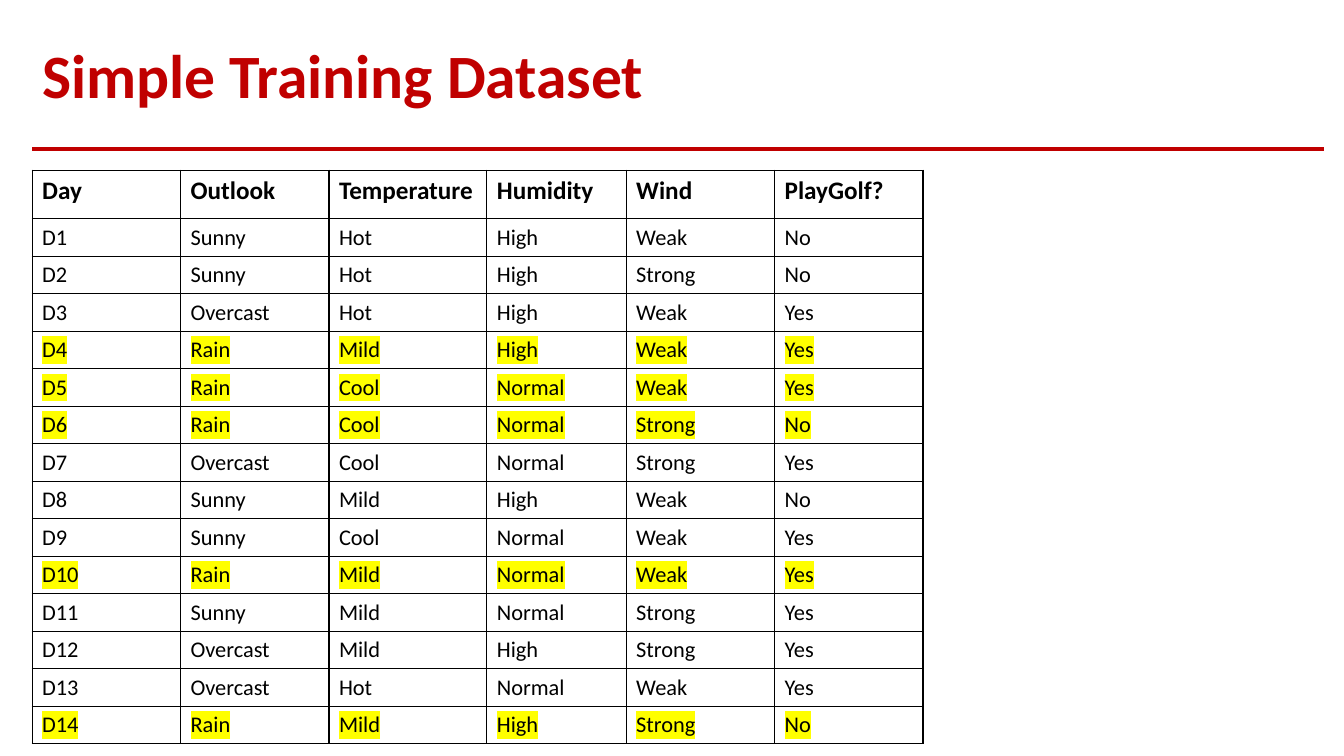
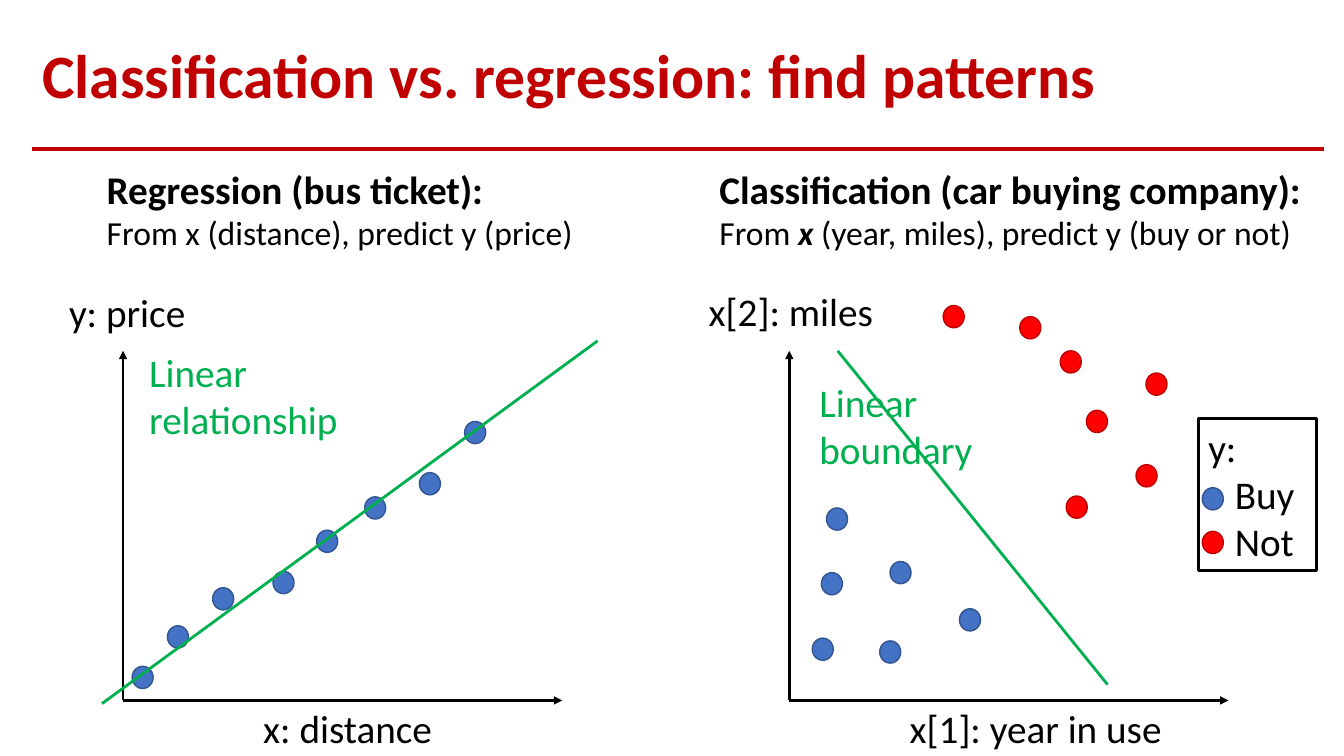
from lxml.etree import SubElement
from pptx import Presentation
from pptx.dml.color import RGBColor
from pptx.enum.shapes import MSO_CONNECTOR, MSO_SHAPE
from pptx.enum.text import MSO_ANCHOR, MSO_AUTO_SIZE, PP_ALIGN
from pptx.oxml.ns import qn
from pptx.util import Cm, Pt

FONT = "Calibri"
BLACK, DARK_RED, GREEN, YELLOW = "000000", "C00000", "00B050", "FFFF00"
BUY = ("4472C4", "325491")  # fill, outline
NOT_BUY = ("FF0000", DARK_RED)
DOT_SIZE = (0.53, 0.56)
LEFT, WIDTH = 0.81, 32.56

DATASET_TITLE = "Simple Training Dataset"
COLUMNS = ["Day", "Outlook", "Temperature", "Humidity", "Wind", "PlayGolf?"]
COLUMN_WIDTHS = [3.74, 3.74, 3.98, 3.51, 3.74, 3.74]
HEADER_HEIGHT, ROW_HEIGHT = 1.22, 0.94
DAYS = [
    ("Sunny", "Hot", "High", "Weak", "No"),
    ("Sunny", "Hot", "High", "Strong", "No"),
    ("Overcast", "Hot", "High", "Weak", "Yes"),
    ("Rain", "Mild", "High", "Weak", "Yes"),
    ("Rain", "Cool", "Normal", "Weak", "Yes"),
    ("Rain", "Cool", "Normal", "Strong", "No"),
    ("Overcast", "Cool", "Normal", "Strong", "Yes"),
    ("Sunny", "Mild", "High", "Weak", "No"),
    ("Sunny", "Cool", "Normal", "Weak", "Yes"),
    ("Rain", "Mild", "Normal", "Weak", "Yes"),
    ("Sunny", "Mild", "Normal", "Strong", "Yes"),
    ("Overcast", "Mild", "High", "Strong", "Yes"),
    ("Overcast", "Hot", "Normal", "Weak", "Yes"),
    ("Rain", "Mild", "High", "Strong", "No"),
]
HIGHLIGHTED_OUTLOOK = "Rain"

PATTERNS_TITLE = "Classification vs. regression: find patterns"
AXIS_BOTTOM, AXIS_WIDTH, AXIS_HEIGHT = 17.65, 11.07, 8.81
# Boxes are (left, top, width, height); dots are (left, top); runs are (text, style).
PLOTS = [
    {
        "heading": "Regression (bus ticket):",
        "task": [("From x (distance), predict y (price)", {})],
        "heading_box": (2.44, 4.04, 12.7, 2.49),
        "axis_left": 3.1,
        "axis_labels": [
            ("x: distance", (5.84, 17.63, 5.84, 1.45)),
            ("y: price", (1.35, 7.14, 3.71, 1.45)),
        ],
        "dots": [
            (BUY, [(11.71, 10.62), (10.57, 11.91), (9.19, 12.52), (7.98, 13.36),
                   (6.88, 14.4), (5.36, 14.81), (4.22, 15.77), (3.33, 16.79)]),
        ],
        "trend": ((2.57, 17.73), (15.06, 8.59)),
        "note": ("Linear relationship", (3.51, 8.66, 5.31, 2.64)),
    },
    {
        "heading": "Classification (car buying company):",
        "task": [
            ("From ", {}),
            ("x", {"bold": True, "italic": True}),
            (" (year, miles), predict y (buy or not)", {}),
        ],
        "heading_box": (17.88, 4.04, 15.98, 2.49),
        "axis_left": 19.89,
        "axis_labels": [
            ("x[1]: year in use", (21.31, 17.63, 9.58, 1.45)),
            ("x[2]: miles", (15.14, 7.11, 9.58, 1.45)),
        ],
        "dots": [
            (BUY, [(22.43, 14.15), (22.17, 16.15), (20.7, 14.43),
                   (20.47, 16.08), (20.83, 12.8), (24.18, 15.34)]),
            (NOT_BUY, [(25.7, 7.98), (26.72, 8.84), (27.38, 10.34), (28.88, 9.4),
                       (28.63, 11.71), (23.77, 7.7), (26.87, 12.5)]),
        ],
        "trend": ((21.11, 8.84), (27.91, 17.25)),
        "note": ("Linear boundary", (20.4, 9.4, 5.31, 2.64)),
    },
]
LEGEND_TITLE = "y:"
LEGEND_BOX = (30.2, 10.54, 2.97, 3.84)
LEGEND_ENTRIES = [("Buy", BUY, (30.3, 12.29)), ("Not", NOT_BUY, (30.3, 13.39))]
LEGEND_INDENT = 0.67


def rgb(color):
    return RGBColor.from_string(color)


def cm_all(values):
    return [Cm(value) for value in values]


def add_run(paragraph, text, size, color=BLACK, bold=False, italic=False, highlight=None):
    run = paragraph.add_run()
    run.text = text
    font = run.font
    font.size, font.bold, font.italic = Pt(size), bold, italic
    font.color.rgb = rgb(color)
    if highlight:
        marker = SubElement(run._r.get_or_add_rPr(), qn("a:highlight"))
        SubElement(marker, qn("a:srgbClr"), val=highlight)
    font.name = FONT


def add_line(slide, start, end, color, width, arrow=False):
    connector = slide.shapes.add_connector(
        MSO_CONNECTOR.STRAIGHT, *cm_all(start), *cm_all(end))
    connector.line.color.rgb = rgb(color)
    connector.line.width = Pt(width)
    properties = connector._element.spPr
    if arrow:
        SubElement(properties.find(qn("a:ln")), qn("a:tailEnd"), type="triangle")
    SubElement(properties, qn("a:effectLst"))


def add_text_box(slide, box):
    """Add an empty wrapping text box and return its text frame."""
    frame = slide.shapes.add_textbox(*cm_all(box)).text_frame
    frame.word_wrap = True
    return frame


def add_dot(shapes, position, colors):
    dot = shapes.add_shape(MSO_SHAPE.OVAL, *cm_all(position + DOT_SIZE))
    dot.shadow.inherit = False
    fill, outline = colors
    dot.fill.solid()
    dot.fill.fore_color.rgb = rgb(fill)
    dot.line.color.rgb = rgb(outline)
    dot.line.width = Pt(1)


def add_titled_slide(presentation, text):
    """Add a title-only slide with the shared title style and red rule."""
    slide = presentation.slides.add_slide(presentation.slide_layouts[5])
    title = slide.shapes.title
    title.left, title.top, title.width, title.height = cm_all((LEFT, 0.71, WIDTH, 2.54))
    frame = title.text_frame
    frame.auto_size = MSO_AUTO_SIZE.NONE
    frame.vertical_anchor = MSO_ANCHOR.MIDDLE
    paragraph = frame.paragraphs[0]
    paragraph.alignment = PP_ALIGN.LEFT
    paragraph.line_spacing = 0.9
    add_run(paragraph, text, 44, DARK_RED, bold=True)
    add_line(slide, (LEFT, 3.76), (LEFT + WIDTH, 3.76), DARK_RED, 2.5)
    return slide


def format_cell(cell):
    """Give a cell black borders and no fill."""
    properties = cell._tc.get_or_add_tcPr()
    for side in ("lnL", "lnR", "lnT", "lnB"):
        border = SubElement(properties, qn(f"a:{side}"), w=str(Pt(1)))
        fill = SubElement(border, qn("a:solidFill"))
        SubElement(fill, qn("a:srgbClr"), val=BLACK)
    cell.fill.background()


def add_dataset_table(slide):
    rows = [COLUMNS] + [(f"D{number}", *day) for number, day in enumerate(DAYS, 1)]
    height = HEADER_HEIGHT + ROW_HEIGHT * len(DAYS)
    table = slide.shapes.add_table(
        len(rows), len(COLUMNS),
        *cm_all((LEFT, 4.29, sum(COLUMN_WIDTHS), height))).table
    table.first_row = table.horz_banding = False
    for column, width in zip(table.columns, COLUMN_WIDTHS):
        column.width = Cm(width)
    for row_index, values in enumerate(rows):
        header = row_index == 0
        table.rows[row_index].height = Cm(HEADER_HEIGHT if header else ROW_HEIGHT)
        highlight = YELLOW if HIGHLIGHTED_OUTLOOK in values else None
        for column_index, value in enumerate(values):
            cell = table.cell(row_index, column_index)
            format_cell(cell)
            add_run(cell.text_frame.paragraphs[0], value, 18 if header else 16,
                    bold=header, highlight=highlight)


def add_plot(slide, plot):
    origin = (plot["axis_left"], AXIS_BOTTOM)
    x_end = (origin[0] + AXIS_WIDTH, AXIS_BOTTOM)
    y_end = (origin[0], AXIS_BOTTOM - AXIS_HEIGHT)
    for end in (x_end, y_end):
        add_line(slide, origin, end, BLACK, 2, arrow=True)
    for colors, positions in plot["dots"]:
        for position in positions:
            add_dot(slide.shapes, position, colors)
    add_line(slide, *plot["trend"], GREEN, 2)

    for label, box in plot["axis_labels"]:
        paragraph = add_text_box(slide, box).paragraphs[0]
        paragraph.alignment = PP_ALIGN.CENTER
        add_run(paragraph, label, 28)
    heading = add_text_box(slide, plot["heading_box"])
    add_run(heading.paragraphs[0], plot["heading"], 28, bold=True)
    task = heading.add_paragraph()
    for text, style in plot["task"]:
        add_run(task, text, 24, **style)
    note, box = plot["note"]
    add_run(add_text_box(slide, box).paragraphs[0], note, 28, GREEN)


def add_legend(slide):
    shapes = slide.shapes.add_group_shape().shapes
    frame_shape = shapes.add_shape(MSO_SHAPE.RECTANGLE, *cm_all(LEGEND_BOX))
    frame_shape.shadow.inherit = False
    frame_shape.fill.background()
    frame_shape.line.color.rgb = rgb(BLACK)
    frame_shape.line.width = Pt(2)
    frame = frame_shape.text_frame
    frame.word_wrap = True
    frame.vertical_anchor = MSO_ANCHOR.TOP
    paragraph = frame.paragraphs[0]
    paragraph.alignment = PP_ALIGN.LEFT
    add_run(paragraph, LEGEND_TITLE, 28)
    for label, colors, position in LEGEND_ENTRIES:
        paragraph = frame.add_paragraph()
        paragraph.alignment = PP_ALIGN.LEFT
        paragraph._p.get_or_add_pPr().set("marL", str(Cm(LEGEND_INDENT)))
        add_run(paragraph, label, 28)
        add_dot(shapes, position, colors)


def main():
    presentation = Presentation()
    presentation.slide_width, presentation.slide_height = Cm(33.87), Cm(19.05)

    add_dataset_table(add_titled_slide(presentation, DATASET_TITLE))

    patterns_slide = add_titled_slide(presentation, PATTERNS_TITLE)
    for plot in PLOTS:
        add_plot(patterns_slide, plot)
    add_legend(patterns_slide)

    presentation.save("out.pptx")


if __name__ == "__main__":
    main()
